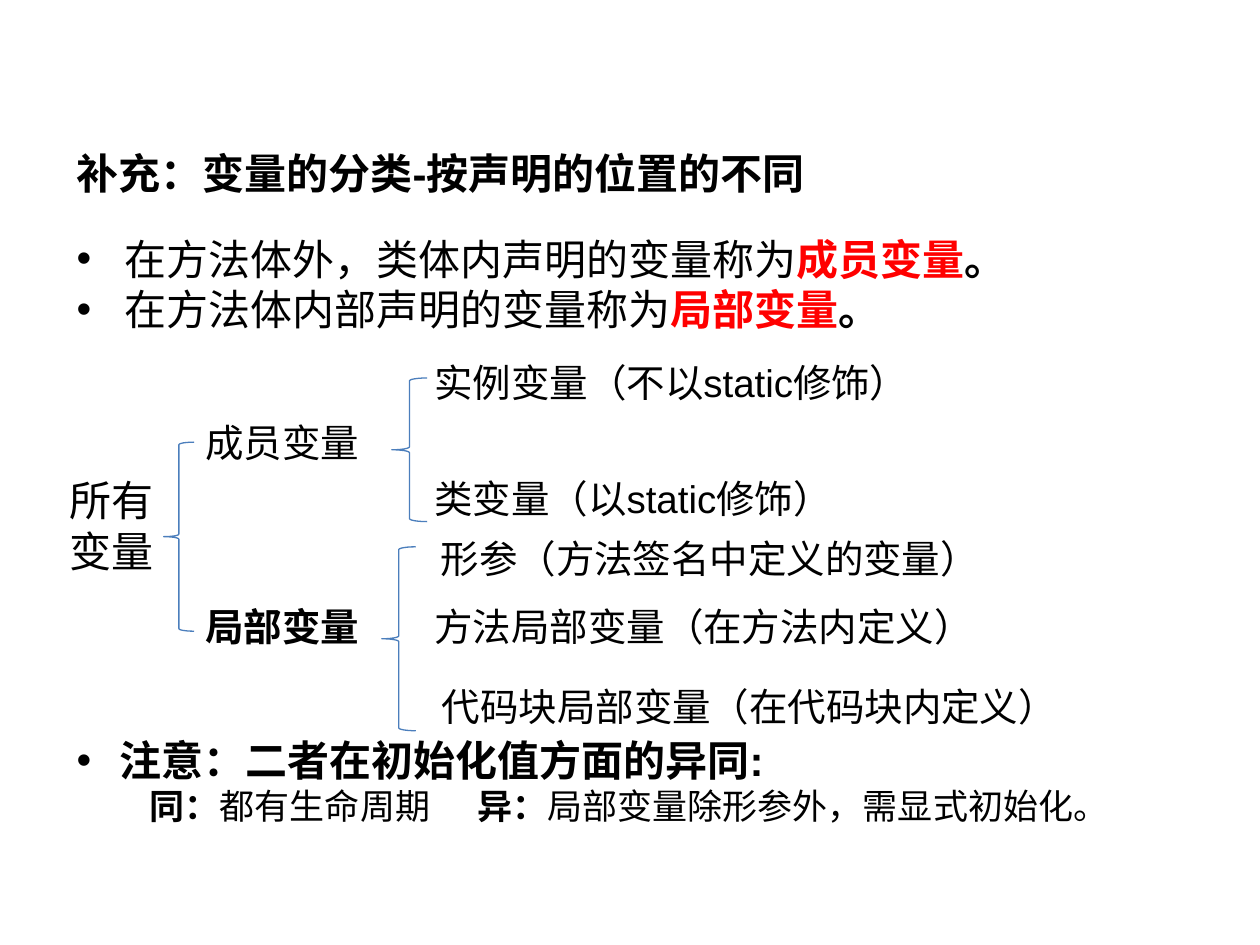
from lxml import etree
from pptx import Presentation
from pptx import util as u
from pptx.dml.color import RGBColor
from pptx.enum import shapes, text
from pptx.oxml import ns

BLACK = RGBColor(0x00, 0x00, 0x00)
RED = RGBColor(0xFF, 0x00, 0x00)
BLUE = RGBColor(0x4B, 0x7E, 0xBC)


def add_run(paragraph, content, size=24, bold=False, color=BLACK, font="Arial"):
    run = paragraph.add_run()
    run.text = content
    run.font.name = font
    run.font.size = u.Pt(size)
    run.font.bold = bold
    run.font.color.rgb = color


class SlideBuilder:
    """Draws text boxes, bullets and braces on one slide in a shared style."""

    def __init__(self, slide):
        self.slide = slide

    def text_box(self, left, top, width, height):
        box = self.slide.shapes.add_textbox(*map(u.Inches, (left, top, width, height)))
        frame = box.text_frame
        frame.word_wrap = True
        frame.auto_size = text.MSO_AUTO_SIZE.SHAPE_TO_FIT_TEXT
        return frame

    def label(self, left, top, width, height, *lines, **style):
        frame = self.text_box(left, top, width, height)
        for index, line in enumerate(lines):
            paragraph = frame.add_paragraph() if index else frame.paragraphs[0]
            add_run(paragraph, line, **style)

    def bullet(self, paragraph, indent):
        properties = paragraph._p.get_or_add_pPr()
        properties.set("marL", str(u.Inches(indent)))
        properties.set("indent", str(-u.Inches(indent)))
        etree.SubElement(properties, ns.qn("a:buFont"), typeface="Arial")
        etree.SubElement(properties, ns.qn("a:buChar"), char="•")

    def tabs(self, paragraph, *stops):
        tab_list = etree.SubElement(paragraph._p.get_or_add_pPr(), ns.qn("a:tabLst"))
        for stop in stops:
            etree.SubElement(tab_list, ns.qn("a:tab"), pos=str(u.Inches(stop)), algn="l")

    def brace(self, left, top, width, height):
        shape = self.slide.shapes.add_shape(
            shapes.MSO_SHAPE.LEFT_BRACE, *map(u.Inches, (left, top, width, height)))
        shape.shadow.inherit = False
        shape.fill.background()
        shape.line.color.rgb = BLUE
        shape.line.width = u.Pt(0.75)


def main():
    presentation = Presentation()
    presentation.slide_width, presentation.slide_height = u.Inches(10), u.Inches(7.5)
    slide = presentation.slides.add_slide(presentation.slide_layouts[6])
    builder = SlideBuilder(slide)

    # Title
    builder.label(0.51, 1.12, 6.46, 0.5, "补充：变量的分类-按声明的位置的不同", bold=True)

    # Definitions
    frame = builder.text_box(0.51, 1.8, 8.82, 0.91)
    definitions = [("在方法体外，类体内声明的变量称为", "成员变量"),
                   ("在方法体内部声明的变量称为", "局部变量")]
    for index, (description, term) in enumerate(definitions):
        paragraph = frame.add_paragraph() if index else frame.paragraphs[0]
        builder.bullet(paragraph, 0.38)
        add_run(paragraph, description)
        add_run(paragraph, term, bold=True, color=RED)
        add_run(paragraph, "。", bold=True)

    # Classification tree: root, branches, leaves
    builder.label(0.45, 3.72, 0.92, 0.91, "所有", "变量")
    builder.brace(1.3, 3.51, 0.24, 1.5)
    builder.label(1.53, 3.28, 1.65, 0.47, "成员变量", size=22)
    builder.label(1.53, 4.74, 1.65, 0.47, "局部变量", size=22, bold=True)
    builder.brace(3.11, 3, 0.28, 1.14)
    builder.brace(3.03, 4.34, 0.27, 1.46)
    leaves = [(3.35, 2.8, "实例变量（不以static修饰）"),
              (3.35, 3.72, "类变量（以static修饰）"),
              (3.4, 4.2, "形参（方法签名中定义的变量）"),
              (3.35, 4.74, "方法局部变量（在方法内定义）"),
              (3.41, 5.37, "代码块局部变量（在代码块内定义）")]
    for left, top, leaf in leaves:
        builder.label(left, top, 5.37, 0.47, leaf, size=22)

    # Note on initial values
    frame = builder.text_box(0.51, 5.78, 8.82, 0.85)
    heading = frame.paragraphs[0]
    builder.bullet(heading, 0.34)
    add_run(heading, "注意：二者在初始化值方面的异同:", bold=True)
    comparison = frame.add_paragraph()
    builder.tabs(comparison, 0.58, 3.18)
    for term, explanation in [("同：", "都有生命周期"),
                              ("异：", "局部变量除形参外，需显式初始化。")]:
        add_run(comparison, "\t" + term, size=20, bold=True)
        add_run(comparison, explanation, size=20)

    presentation.save("out.pptx")


if __name__ == "__main__":
    main()
